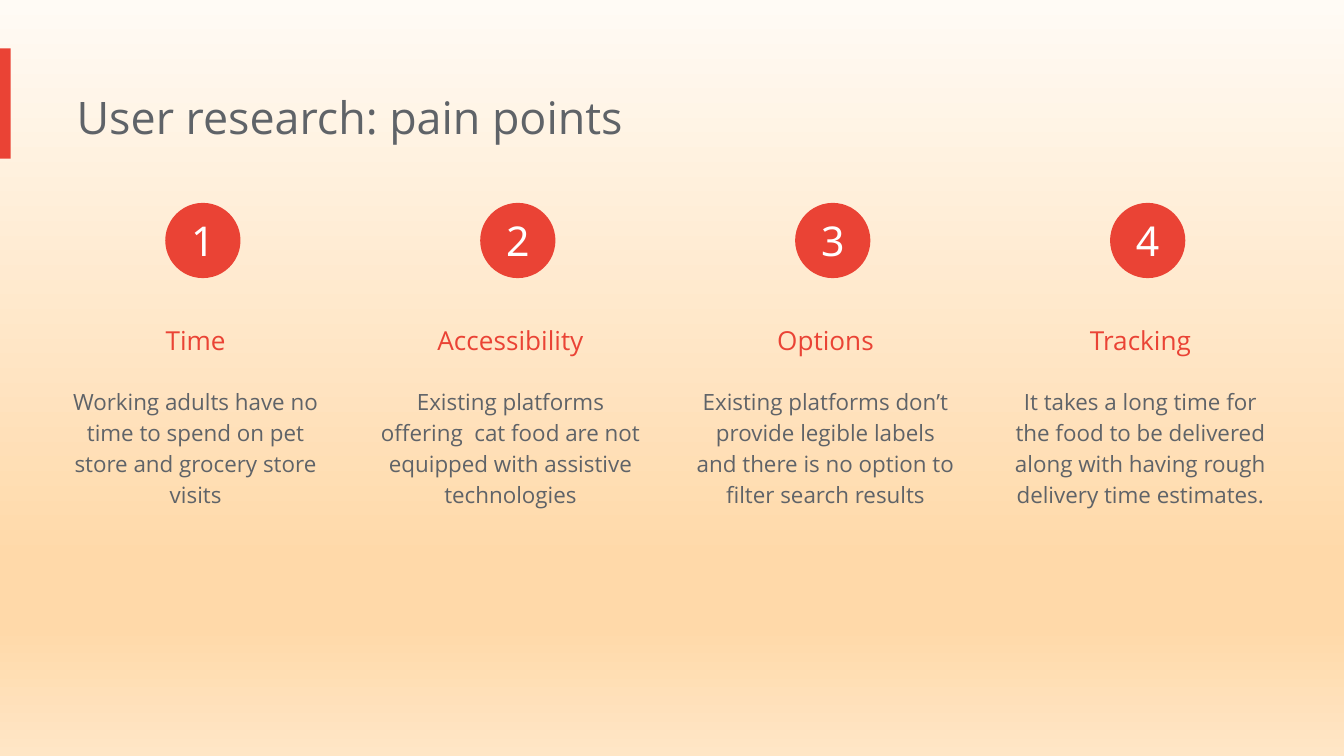
from lxml.etree import SubElement
from pptx import Presentation
from pptx.dml.color import RGBColor
from pptx.enum.shapes import MSO_SHAPE as Shape
from pptx.enum.text import MSO_ANCHOR as Anchor, MSO_AUTO_SIZE as AutoSize, PP_ALIGN as Align
from pptx.oxml.ns import qn
from pptx.util import Inches, Pt

RED = RGBColor(0xEA, 0x43, 0x35)
GRAY = RGBColor(0x5F, 0x63, 0x68)
WHITE = RGBColor(0xFF, 0xFF, 0xFF)
CREAM = RGBColor(0xFF, 0xFB, 0xF5)
PEACH = RGBColor(0xFF, 0xD9, 0xA9)
LIGHT_PEACH = RGBColor(0xFF, 0xE6, 0xC6)

SLIDE_WIDTH = Inches(10)
SLIDE_HEIGHT = SLIDE_WIDTH * 9 // 16
FIRST_COLUMN, LAST_COLUMN = 0.48, 7.51

BACKDROP = [(0, CREAM), (74, PEACH), (83, PEACH), (100, LIGHT_PEACH)]
PAIN_POINTS = [
    ("Time", "Working adults have no time to spend on pet store and grocery store visits"),
    ("Accessibility", "Existing platforms offering  cat food are not equipped with assistive technologies"),
    ("Options", "Existing platforms don’t provide legible labels and there is no option to filter search results"),
    ("Tracking", "It takes a long time for the food to be delivered along with having rough delivery time estimates."),
]

TEXT_FRAME = {
    "margin_left": 0, "margin_top": Inches(0.1), "margin_right": Inches(0.1),
    "margin_bottom": Inches(0.1), "vertical_anchor": Anchor.TOP,
    "word_wrap": True, "auto_size": AutoSize.SHAPE_TO_FIT_TEXT,
}
BADGE_FRAME = {
    "margin_left": 0, "margin_top": 0, "margin_right": 0, "margin_bottom": 0,
    "vertical_anchor": Anchor.MIDDLE, "word_wrap": True,
}
TITLE_STYLE = {"alignment": Align.LEFT}
HEADING_STYLE = {"alignment": Align.CENTER, "line_spacing": 1.5}
DETAIL_STYLE = {"alignment": Align.CENTER, "line_spacing": 1.15}
BADGE_STYLE = {"alignment": Align.CENTER}


def apply(target, values):
    """Set every attribute named in a dict of format values."""
    for attribute, value in values.items():
        setattr(target, attribute, value)


def write(holder, text, size, color, style, frame=TEXT_FRAME, font="Open Sans"):
    """Put one formatted paragraph into a text holder."""
    apply(holder.text_frame, frame)
    paragraph = holder.text_frame.paragraphs[0]
    apply(paragraph, style)
    run = paragraph.add_run()
    run.text = text
    apply(run.font, {"size": Pt(size), "name": font})
    run.font.color.rgb = color


def add_solid(slide, kind, left, top, width, height):
    """Add a flat red shape without outline or shadow."""
    solid = slide.shapes.add_shape(kind, *map(Inches, (left, top, width, height)))
    solid.shadow.inherit = False
    solid.fill.solid()
    solid.fill.fore_color.rgb = RED
    solid.line.fill.background()
    return solid


def paint_backdrop(slide, stops):
    """Fill the background with a gradient running from top to bottom."""
    fill = slide.background.fill
    fill.gradient()
    fill.gradient_angle = 270
    stop_list = next(slide.background._cSld.iter(qn("a:gsLst")))
    stop_list.clear()
    for position, color in stops:
        stop = SubElement(stop_list, qn("a:gs"), pos=str(position * 1000))
        SubElement(stop, qn("a:srgbClr"), val=str(color))


def add_header(slide, text, top):
    """Place the edge accent and the title beside it."""
    add_solid(slide, Shape.RECTANGLE, 0, top, 0.08, 0.82)
    title = slide.shapes.title
    apply(title, {"left": Inches(0.57), "top": Inches(top + 0.21),
                  "width": Inches(6.73), "height": Inches(0.61)})
    write(title, text, 24, GRAY, TITLE_STYLE)


def add_pain_point(slide, number, heading, detail, left, top, width):
    """Stack a numbered badge, a heading and a detail text in one column."""
    badge = add_solid(slide, Shape.OVAL, left + 0.75, top, 0.56, 0.56)
    write(badge, str(number), 22, WHITE, BADGE_STYLE, BADGE_FRAME, "Noto Sans")
    parts = [
        (heading, 0.69, 0.56, 14, RED, HEADING_STYLE),
        (detail, 1.25, 1.13, 12, GRAY, DETAIL_STYLE),
    ]
    for text, offset, height, size, color, style in parts:
        box = slide.shapes.add_textbox(*map(Inches, (left, top + offset, width, height)))
        write(box, text, size, color, style)


def build_slide(deck):
    """Compose the pain points slide."""
    slide = deck.slides.add_slide(deck.slide_layouts[5])
    paint_backdrop(slide, BACKDROP)
    add_header(slide, "User research: pain points", 0.36)
    pitch = (LAST_COLUMN - FIRST_COLUMN) / (len(PAIN_POINTS) - 1)
    for index, (heading, detail) in enumerate(PAIN_POINTS):
        add_pain_point(slide, index + 1, heading, detail, FIRST_COLUMN + index * pitch, 1.51, 2.05)


deck = Presentation()
apply(deck, {"slide_width": SLIDE_WIDTH, "slide_height": SLIDE_HEIGHT})
build_slide(deck)
deck.save("out.pptx")
